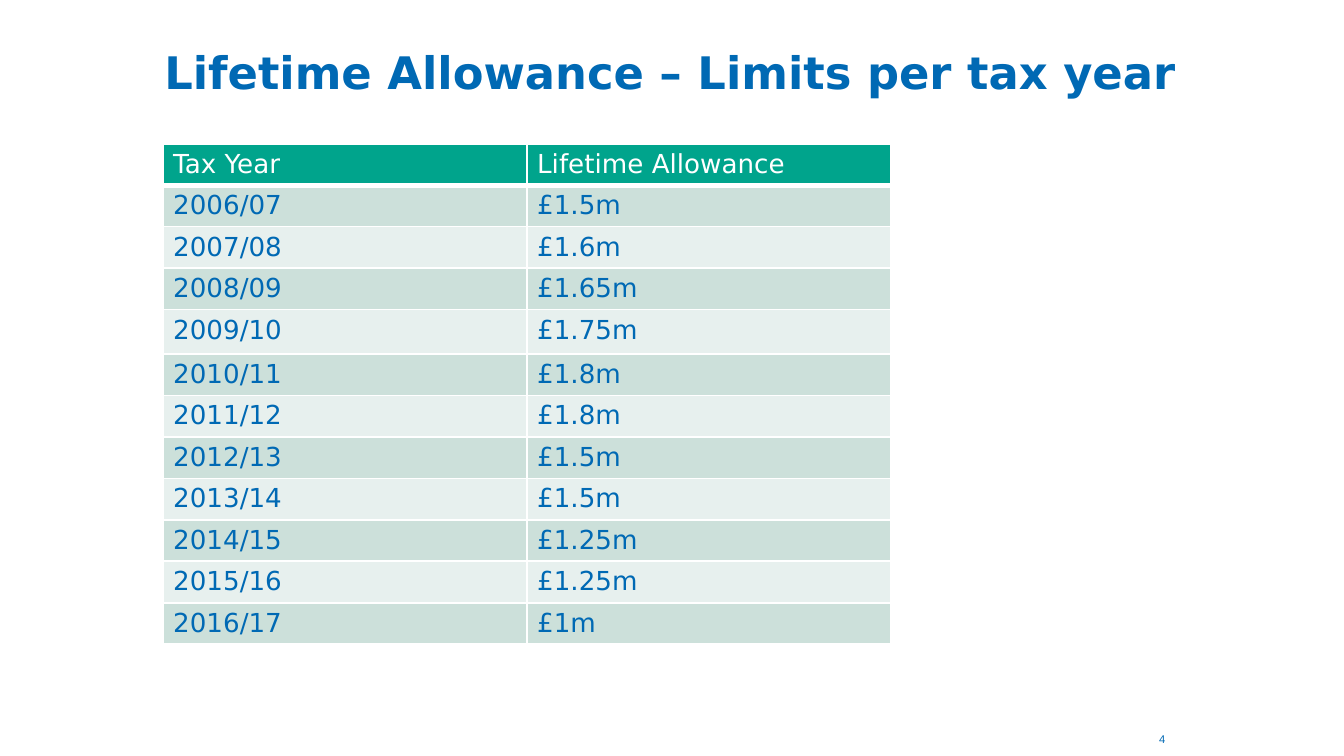
import pptx
import pptx.dml.color
import pptx.enum.text
import pptx.oxml
import pptx.oxml.ns
import pptx.util

Pt = pptx.util.Pt
Align = pptx.enum.text.PP_ALIGN
Anchor = pptx.enum.text.MSO_ANCHOR

BLUE, WHITE, GREEN = "0069B4", "FFFFFF", "00A48C"
BANDS = ("CCE0DA", "E7F0EE")
BODY_FONT = "DejaVu Sans"

ALLOWANCES = (
    ("Tax Year", "Lifetime Allowance"),
    ("2006/07", "£1.5m"),
    ("2007/08", "£1.6m"),
    ("2008/09", "£1.65m"),
    ("2009/10", "£1.75m"),
    ("2010/11", "£1.8m"),
    ("2011/12", "£1.8m"),
    ("2012/13", "£1.5m"),
    ("2013/14", "£1.5m"),
    ("2014/15", "£1.25m"),
    ("2015/16", "£1.25m"),
    ("2016/17", "£1m"),
)
ROW_HEIGHT, TALL_ROW_HEIGHT, TALL_YEAR = 21.9, 23.7, "2009/10"


def set_values(target, values):
    for name, value in values.items():
        setattr(target, name, value)


def set_color(color_format, value):
    color_format.rgb = pptx.dml.color.RGBColor.from_string(value)


def write_text(text_frame, text, size, color, font=BODY_FONT, bold=False, align=Align.LEFT):
    paragraph = text_frame.paragraphs[0]
    paragraph.alignment = align
    run = paragraph.add_run()
    run.text = text
    set_values(run.font, {"size": Pt(size), "name": font, "bold": bold})
    set_color(run.font.color, color)


def place(shape, left, top, width, height):
    set_values(shape, {"left": Pt(left), "top": Pt(top), "width": Pt(width), "height": Pt(height)})


def add_title(slide, text):
    title = slide.shapes.title
    place(title, 62.6, 20.9, 592.6, 35.3)
    set_values(title.text_frame, {"word_wrap": True, "vertical_anchor": Anchor.MIDDLE})
    write_text(title.text_frame, text, 24, BLUE, bold=True, align=Align.CENTER)


def add_page_number(slide, text):
    box = slide.shapes.add_textbox(Pt(608.4), Pt(389.5), Pt(23), Pt(13))
    set_values(box.text_frame, {"word_wrap": True, "vertical_anchor": Anchor.MIDDLE})
    write_text(box.text_frame, text, 6, BLUE, font="Arial", align=Align.RIGHT)


def set_borders(cell, widths):
    properties = cell._tc.get_or_add_tcPr()
    for side, width in widths.items():
        properties.append(pptx.oxml.parse_xml(
            f'<a:ln{side} {pptx.oxml.ns.nsdecls("a")} w="{Pt(width)}">'
            f'<a:solidFill><a:srgbClr val="{WHITE}"/></a:solidFill></a:ln{side}>'
        ))


def format_cell(cell, text, row_index):
    header = row_index == 0
    set_values(cell, {
        "margin_left": Pt(5.4), "margin_right": Pt(5.4),
        "margin_top": Pt(2.7), "margin_bottom": Pt(2.7),
    })
    set_borders(cell, {"L": 1, "R": 1, "T": 1, "B": 3 if header else 1})
    cell.fill.solid()
    set_color(cell.fill.fore_color, GREEN if header else BANDS[(row_index - 1) % 2])
    write_text(cell.text_frame, text, 14, WHITE if header else BLUE)


def add_allowance_table(slide, rows):
    heights = [TALL_ROW_HEIGHT if row[0] == TALL_YEAR else ROW_HEIGHT for row in rows]
    frame = slide.shapes.add_table(
        len(rows), len(rows[0]), Pt(87.4), Pt(77), Pt(390), Pt(sum(heights))
    )
    table = frame.table
    for row_index, (values, height) in enumerate(zip(rows, heights)):
        table.rows[row_index].height = Pt(height)
        for column_index, text in enumerate(values):
            format_cell(table.cell(row_index, column_index), text, row_index)


def main():
    presentation = pptx.Presentation()
    set_values(presentation, {"slide_width": Pt(720), "slide_height": Pt(405)})
    slide = presentation.slides.add_slide(presentation.slide_layouts[5])
    add_title(slide, "Lifetime Allowance – Limits per tax year")
    add_page_number(slide, "4")
    add_allowance_table(slide, ALLOWANCES)
    presentation.save("out.pptx")


main()
